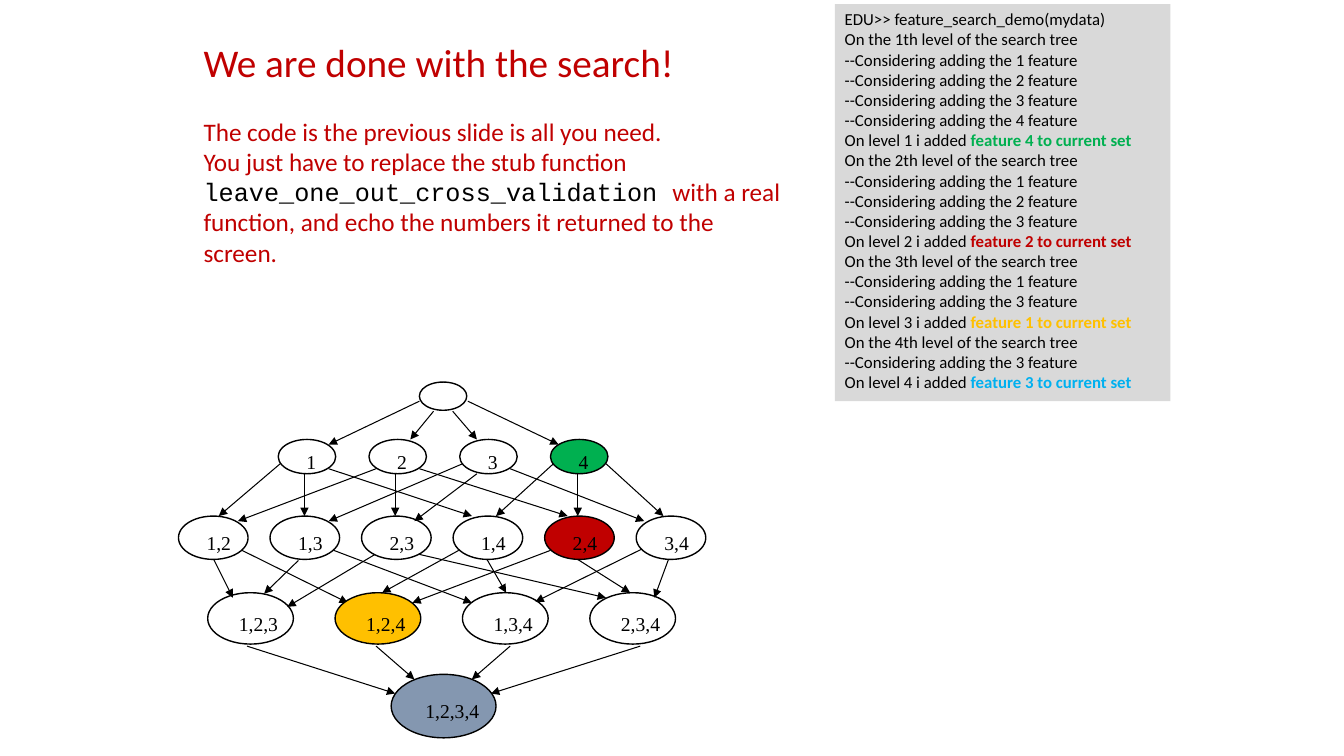
from itertools import combinations

from lxml import etree
from pptx import Presentation
from pptx.dml.color import RGBColor
from pptx.enum.shapes import MSO_CONNECTOR, MSO_SHAPE
from pptx.enum.text import MSO_ANCHOR, MSO_AUTO_SIZE, PP_ALIGN
from pptx.oxml.ns import qn
from pptx.util import Inches, Pt

RECT, OVAL = MSO_SHAPE.RECTANGLE, MSO_SHAPE.OVAL
STRAIGHT = MSO_CONNECTOR.STRAIGHT
TOP, LEFT = MSO_ANCHOR.TOP, PP_ALIGN.LEFT
FIT = MSO_AUTO_SIZE.SHAPE_TO_FIT_TEXT

COLORS = {"black": "000000", "grey": "D9D9D9", "red": "C00000", "green": "00B050",
          "gold": "FFC000", "blue": "00B0F0", "slate": "8497B0"}
FORMATS = {
    "log": {"name": "Calibri", "size": Pt(12), "bold": False},
    "added": {"name": "Calibri", "size": Pt(12), "bold": True},
    "title": {"name": "Calibri", "size": Pt(28)},
    "body": {"name": "Calibri", "size": Pt(18)},
    "code": {"name": "Courier New", "size": Pt(18)},
    "node": {"name": "Times New Roman", "size": Pt(14)},
}


class SlideBuilder:
    def __init__(self, slide):
        self.shapes = slide.shapes

    @staticmethod
    def rgb(color):
        return RGBColor.from_string(COLORS[color])

    def fill_text(self, shape, paragraphs, wrap=True):
        """Each paragraph is a list of (text, format, color) runs."""
        frame = shape.text_frame
        settings = {"word_wrap": wrap, "auto_size": FIT, "vertical_anchor": TOP}
        for key, value in settings.items():
            setattr(frame, key, value)
        for i, runs in enumerate(paragraphs):
            paragraph = frame.paragraphs[0] if i == 0 else frame.add_paragraph()
            paragraph.alignment = LEFT
            for text, style, color in runs:
                run = paragraph.add_run()
                run.text = text
                for key, value in FORMATS[style].items():
                    setattr(run.font, key, value)
                run.font.color.rgb = self.rgb(color)
        return frame

    def text(self, box, paragraphs, wrap=True):
        shape = self.shapes.add_textbox(*map(Inches, box))
        return self.fill_text(shape, paragraphs, wrap)

    def shape(self, kind, box, fill=None, outline=None):
        shape = self.shapes.add_shape(kind, *map(Inches, box))
        shape.shadow.inherit = False
        if fill:
            shape.fill.solid()
            shape.fill.fore_color.rgb = self.rgb(fill)
        else:
            shape.fill.background()
        if outline:
            shape.line.color.rgb = self.rgb(outline)
            shape.line.width = Pt(1)
        else:
            shape.line.fill.background()
        return shape

    def arrow(self, *ends):
        connector = self.shapes.add_connector(STRAIGHT, *map(Inches, ends))
        connector.line.color.rgb = self.rgb("black")
        connector.line.width = Pt(0.75)
        properties = connector._element.spPr
        etree.SubElement(properties.find(qn("a:ln")), qn("a:tailEnd"), type="triangle")
        etree.SubElement(properties, qn("a:effectLst"))


prs = Presentation()
prs.slide_width, prs.slide_height = Inches(13.33), Inches(7.5)
builder = SlideBuilder(prs.slides.add_slide(prs.slide_layouts[6]))

# Search log: each level tries the features that are left, then adds one
log = [[("EDU>> feature_search_demo(mydata)", "log", "black")]]
remaining = [1, 2, 3, 4]
choices = [(4, "green"), (2, "red"), (1, "gold"), (3, "blue")]
for level, (chosen, color) in enumerate(choices, start=1):
    log.append([(f"On the {level}th level of the search tree", "log", "black")])
    for feature in remaining:
        log.append([(f"--Considering adding the {feature} feature", "log", "black")])
    log.append([(f"On level {level} i added ", "log", "black"),
                (f"feature {chosen} to current set", "added", color)])
    remaining.remove(chosen)
builder.fill_text(builder.shape(RECT, (8.28, 0.04, 3.33, 3.94), fill="grey"), log)

# Title and explanation
message = builder.text((1.92, 0.33, 5.92, 2.39), [
    [("We are done with the search!", "title", "red")],
    [("The code is the previous slide is all you need.", "body", "red")],
    [("You just have to replace the stub function ", "body", "red"),
     ("leave_one_out_cross_validation ", "code", "black"),
     ("with a real function, and echo the numbers it returned to the screen. ",
      "body", "red")],
])
message.paragraphs[0].space_after = Pt(22)

# Arrows between tree levels: from x, from y, to x, to y
root_arrows = [
    (4.16, 3.98, 3.26, 4.41), (4.3, 4.08, 4.07, 4.36),
    (4.49, 4.08, 4.73, 4.36), (4.64, 3.98, 5.54, 4.41),
]
single_arrows = [
    (2.78, 4.6, 2.17, 5.12), (3.02, 4.7, 3.02, 5.12), (3.26, 4.65, 4.68, 5.12),
    (3.73, 4.65, 2.36, 5.17), (3.92, 4.7, 3.92, 5.12), (4.16, 4.65, 5.63, 5.12),
    (4.59, 4.6, 3.26, 5.17), (4.73, 4.7, 4.11, 5.17), (5.06, 4.65, 6.39, 5.17),
    (5.49, 4.6, 4.92, 5.12), (5.73, 4.7, 5.73, 5.12), (6.01, 4.6, 6.58, 5.12),
]
pair_arrows = [
    (2.12, 5.55, 2.31, 5.93), (2.4, 5.46, 3.45, 5.98), (2.96, 5.56, 2.62, 5.89),
    (3.31, 5.46, 4.68, 5.98), (3.72, 5.5, 2.85, 6.02), (4.16, 5.5, 6.01, 5.93),
    (4.55, 5.46, 3.79, 5.88), (4.83, 5.55, 5.02, 5.88), (5.46, 5.46, 4.09, 5.98),
    (5.73, 5.55, 6.25, 5.88), (6.36, 5.45, 5.31, 5.97), (6.63, 5.55, 6.49, 5.93),
]
triple_arrows = [
    (2.45, 6.41, 3.92, 6.88), (3.73, 6.41, 4.11, 6.74),
    (5.06, 6.41, 4.68, 6.74), (6.35, 6.41, 4.87, 6.88),
]
for ends in root_arrows + single_arrows + pair_arrows + triple_arrows:
    builder.arrow(*ends)

# Tree nodes: one level per subset size
# first left, last left, top, width, height, label dx, label dy, label width
LEVELS = [
    (4.16, 4.16, 3.79, 0.47, 0.28, 0, 0, 0),
    (2.76, 5.46, 4.36, 0.57, 0.34, 0.18, 0.05, 0.3),
    (1.77, 6.31, 5.12, 0.69, 0.43, 0.18, 0.1, 0.45),
    (2.06, 5.85, 5.88, 0.85, 0.51, 0.21, 0.14, 0.59),
    (3.88, 3.88, 6.69, 1.04, 0.63, 0.24, 0.19, 0.74),
]
CHOSEN = {"4": "green", "2,4": "red", "1,2,4": "gold", "1,2,3,4": "slate"}
for size, (first, last, top, width, height, dx, dy, label_width) in enumerate(LEVELS):
    subsets = sorted(combinations("1234", size), key=lambda subset: subset[::-1])
    pitch = (last - first) / max(len(subsets) - 1, 1)
    for i, subset in enumerate(subsets):
        left, label = first + i * pitch, ",".join(subset)
        builder.shape(OVAL, (left, top, width, height), CHOSEN.get(label), "black")
        if label:
            builder.text((left + dx, top + dy, label_width, 0.34),
                         [[(label, "node", "black")]], wrap=False)

prs.save("out.pptx")
